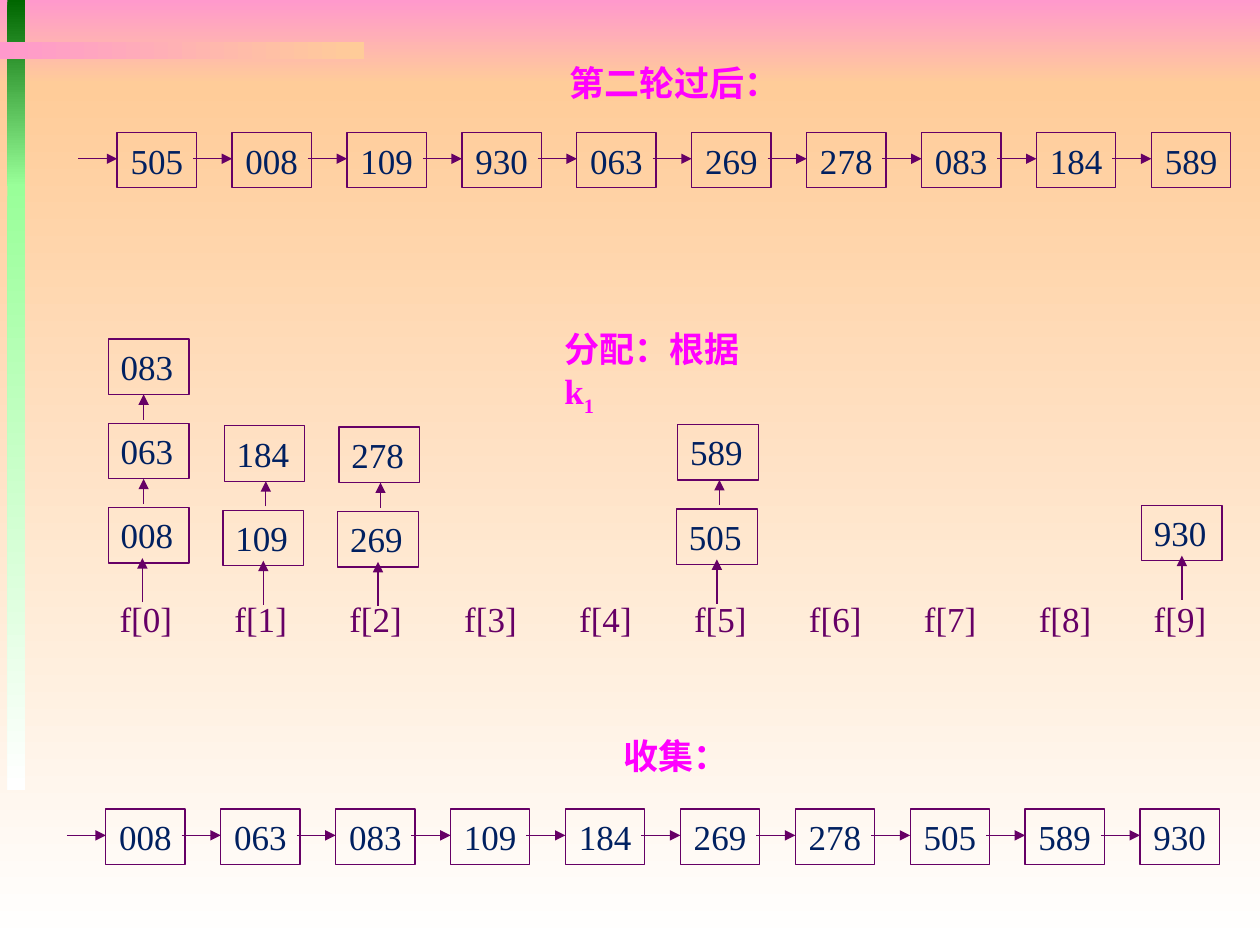
from dataclasses import dataclass
from typing import Optional

from lxml.etree import SubElement
from pptx import Presentation
from pptx.dml.color import RGBColor
from pptx.enum.shapes import MSO_CONNECTOR as Connector, MSO_SHAPE as Shape
from pptx.enum.text import MSO_ANCHOR as Anchor, PP_ALIGN as Align
from pptx.oxml.ns import qn
from pptx.util import Emu, Inches, Pt


@dataclass(frozen=True)
class Theme:
    font: str = "Times New Roman"
    size: Pt = Pt(20)
    stroke: Pt = Pt(0.75)
    plum: str = "660066"
    navy: str = "002060"
    magenta: str = "FF00FF"
    pink: str = "FF99CC"
    peach: str = "FFCC99"
    forest: str = "006600"
    mint: str = "99FF99"
    white: str = "FFFFFF"


@dataclass(frozen=True)
class Area:
    column: float
    row: float
    columns: float
    rows: float


@dataclass(frozen=True)
class Band:
    area: Area
    start: str
    end: str
    angle: int = 270


@dataclass(frozen=True)
class Chain:
    column: float
    row: float
    keys: str


@dataclass(frozen=True)
class Bucket:
    column: float
    row: float
    keys: str
    arrow: float = 3.2
    lean: float = 0.1


@dataclass(frozen=True)
class Heading:
    area: Area
    text: str
    subscript: str = ""
    right_margin: Optional[float] = None


THEME = Theme()
GRID_COLUMNS, GRID_ROWS = 100, 75
PITCH = 9.12
LEVEL = 6.7
BOX_HEIGHT = 4.4

BANDS = [
    Band(Area(0, 0, 100, 6.7), THEME.pink, THEME.peach),
    Band(Area(0, 6.7, 100, 68.3), THEME.peach, THEME.white),
    Band(Area(0.6, 0, 1.4, 14.8), THEME.forest, THEME.mint),
    Band(Area(0.6, 14.6, 1.4, 48.1), THEME.mint, THEME.white),
    Band(Area(0, 3.3, 28.9, 1.4), THEME.pink, THEME.peach, 0),
]
CHAINS = [
    Chain(9.3, 10.5, "505 008 109 930 063 269 278 083 184 589"),
    Chain(8.4, 64.2, "008 063 083 109 184 269 278 505 589 930"),
]
BUCKETS = [
    Bucket(8.6, 40.3, "008 063 083", arrow=2.7, lean=0),
    Bucket(17.7, 40.5, "109 184"),
    Bucket(26.8, 40.6, "269 278"),
    Bucket(53.7, 40.4, "505 589"),
    Bucket(90.6, 40.1, "930"),
]
HEADINGS = [
    Heading(Area(44.2, 4.4, 19, 4.4), "第二轮过后："),
    Heading(Area(43.8, 25.5, 18.9, 4.4), "分配：根据k", "1", 3),
    Heading(Area(48.5, 57.8, 10.4, 4.4), "收集："),
]

deck = Presentation()
deck.slide_width, deck.slide_height = Inches(10), Inches(7.5)
slide = deck.slides.add_slide(deck.slide_layouts[6])


def across(columns: float) -> Emu:
    return Emu(round(deck.slide_width * columns / GRID_COLUMNS))


def down(rows: float) -> Emu:
    return Emu(round(deck.slide_height * rows / GRID_ROWS))


def bounds(area: Area) -> tuple:
    return across(area.column), down(area.row), across(area.columns), down(area.rows)


def color(code: str) -> RGBColor:
    return RGBColor.from_string(code)


def style(paragraph, code: str, bold: bool = False) -> None:
    font = paragraph.font
    font.name, font.size, font.bold = THEME.font, THEME.size, bold
    font.color.rgb = color(code)


def draw_band(band: Band) -> None:
    strip = slide.shapes.add_shape(Shape.RECTANGLE, *bounds(band.area))
    strip.shadow.inherit = False
    strip.line.fill.background()
    strip.fill.gradient()
    strip.fill.gradient_angle = band.angle
    for stop, code, position in zip(strip.fill.gradient_stops, (band.start, band.end), (0, 1)):
        stop.color.rgb, stop.position = color(code), position


def draw_key(area: Area, key: str, centered: bool) -> None:
    node = slide.shapes.add_shape(Shape.RECTANGLE, *bounds(area))
    node.shadow.inherit = False
    node.fill.background()
    node.line.color.rgb, node.line.width = color(THEME.plum), THEME.stroke
    frame = node.text_frame
    frame.word_wrap = not centered
    frame.vertical_anchor = Anchor.MIDDLE if centered else Anchor.TOP
    paragraph = frame.paragraphs[0]
    paragraph.text = key
    paragraph.alignment = Align.CENTER if centered else Align.LEFT
    style(paragraph, THEME.navy)


def draw_arrow(column: float, row: float, to_column: float, to_row: float) -> None:
    link = slide.shapes.add_connector(
        Connector.STRAIGHT, across(column), down(row), across(to_column), down(to_row))
    link.line.color.rgb, link.line.width = color(THEME.plum), THEME.stroke
    SubElement(link.line._get_or_add_ln(), qn("a:tailEnd"), type="triangle")
    SubElement(link._element.spPr, qn("a:effectLst"))


def draw_chain(chain: Chain) -> None:
    for position, key in enumerate(chain.keys.split()):
        column = chain.column + position * PITCH
        draw_key(Area(column, chain.row, 6.3, BOX_HEIGHT), key, True)
        draw_arrow(column - 3.1, chain.row + 2.1, column, chain.row + 2.1)


def draw_bucket(bucket: Bucket) -> None:
    for level, key in enumerate(bucket.keys.split()):
        column = bucket.column + level * bucket.lean
        row = bucket.row - level * LEVEL
        draw_key(Area(column, row, 6.4, BOX_HEIGHT), key, False)
        stem = column + bucket.arrow + (0.1 if level else 0)
        tail, head = (6.4, BOX_HEIGHT) if level else (7.5, 4)
        draw_arrow(stem, row + tail, stem, row + head)


def draw_label(area: Area, text: str, code: str, bold: bool = False):
    label = slide.shapes.add_textbox(*bounds(area))
    frame = label.text_frame
    frame.word_wrap = False
    paragraph = frame.paragraphs[0]
    paragraph.text = text
    style(paragraph, code, bold)
    return frame


def draw_heading(heading: Heading) -> None:
    frame = draw_label(heading.area, heading.text, THEME.magenta, True)
    if heading.subscript:
        index = frame.paragraphs[0].add_run()
        index.text = heading.subscript
        index.font._element.set("baseline", "-25000")
    if heading.right_margin is not None:
        frame.word_wrap = True
        frame.margin_right = across(heading.right_margin)


for band in BANDS:
    draw_band(band)
for chain in CHAINS:
    draw_chain(chain)
for bucket in BUCKETS:
    draw_bucket(bucket)
for digit in range(10):
    draw_label(Area(8.5 + digit * PITCH, 46.9, 6.2, 4.3), f"f[{digit}]", THEME.plum)
for heading in HEADINGS:
    draw_heading(heading)

deck.save("out.pptx")
